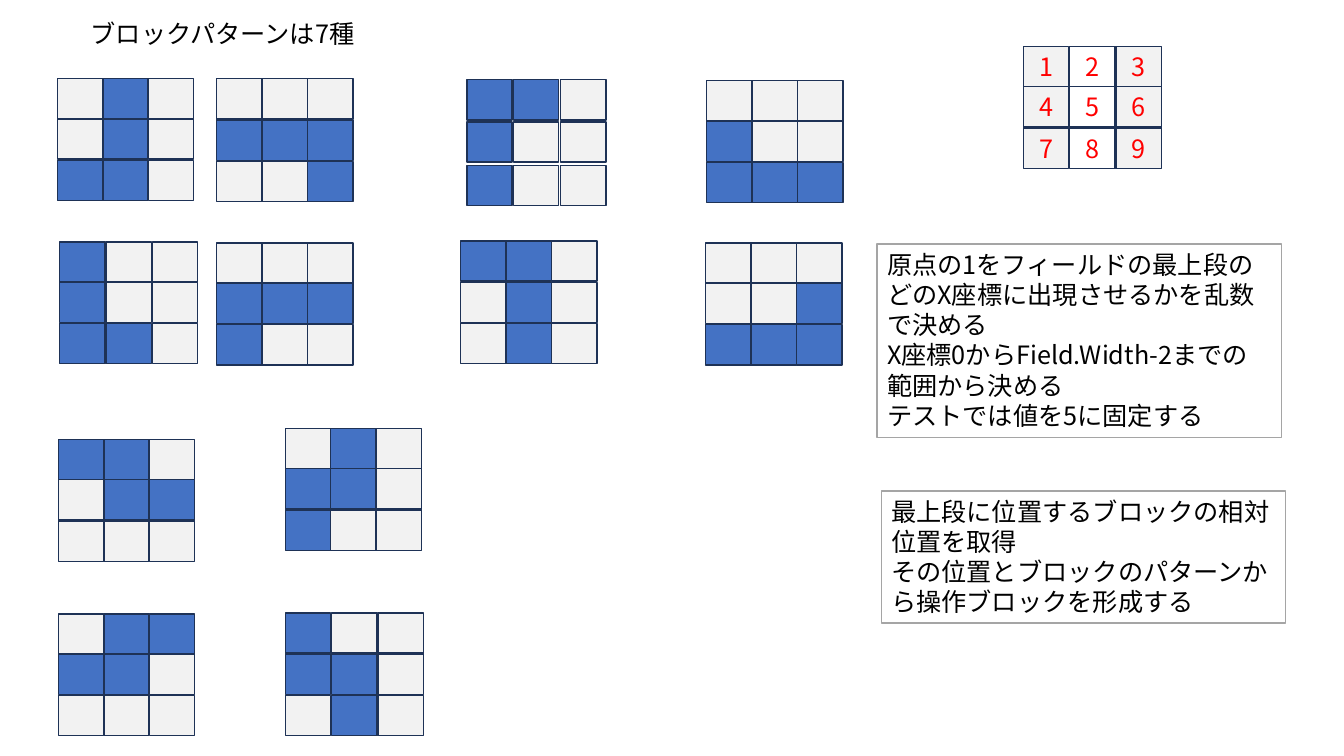
import lxml.etree
import pptx
import pptx.dml.color
import pptx.enum.shapes
import pptx.enum.text
import pptx.oxml.ns
import pptx.util

PX = 9144
CELL_WIDTH, CELL_HEIGHT = 45, 40
FONT = "Noto Sans CJK JP"
COLORS = {
    "block": "4472C4", "empty": "F2F2F2", "outline": "1E3256", "white": "FFFFFF",
    "border": "A5A5A5", "text": "000000", "number": "FF0000",
}
TITLE = "ブロックパターンは7種"
PATTERNS = [
    ((57, 78, 135, 121), (".#.", ".#.", "##.")),
    ((215, 78, 135, 122), ("...", "###", "..#")),
    ((463, 79, 138, 125), ("##.", "#..", "#..")),
    ((701, 80, 135, 121), ("...", "#..", "###")),
    ((59, 240, 137, 121), ("#..", "#..", "##.")),
    ((215, 241, 135, 121), ("...", "###", "#..")),
    ((457, 239, 135, 122), ("##.", ".#.", ".#.")),
    ((700, 241, 135, 121), ("...", "..#", "###")),
    ((58, 436, 135, 121), ("##.", ".##", "...")),
    ((283, 425, 135, 121), (".#.", "##.", "#..")),
    ((58, 609, 135, 121), (".##", "##.", "...")),
    ((283, 608, 137, 122), ("#..", "##.", ".#.")),
]
NUMBER_BOX = (1015, 46, 137, 121)
NOTES = [
    ((870, 242, 401, 192), (
        "原点の1をフィールドの最上段のどのX座標に出現させるかを乱数で決める",
        "X座標0からField.Width-2までの範囲から決める",
        "テストでは値を5に固定する",
    )),
    ((874, 487, 401, 131), (
        "最上段に位置するブロックの相対位置を取得",
        "その位置とブロックのパターンから操作ブロックを形成する",
    )),
]


def rgb(name):
    """Return the named colour."""
    return pptx.dml.color.RGBColor.from_string(COLORS[name])


def scaled(box):
    """Turn a box in px into EMU lengths."""
    return [pptx.util.Emu(length * PX) for length in box]


def apply_format(target, values):
    """Set each attribute in a dict of format values."""
    for name, value in values.items():
        setattr(target, name, value)


def write_text(shape, lines, color, align, anchor):
    """Write one formatted paragraph for each line."""
    frame = shape.text_frame
    frame.text = "\n".join(lines)
    apply_format(frame, {
        "word_wrap": True,
        "auto_size": pptx.enum.text.MSO_AUTO_SIZE.NONE,
        "vertical_anchor": anchor,
    })
    for paragraph in frame.paragraphs:
        paragraph.alignment = align
        for run in paragraph.runs:
            apply_format(run.font, {"name": FONT, "size": pptx.util.Pt(18)})
            run.font.color.rgb = rgb(color)
            lxml.etree.SubElement(
                run.font._element, pptx.oxml.ns.qn("a:ea"), typeface=FONT)


def add_rectangle(slide, box, fill, line):
    """Add a flat outlined rectangle."""
    shape = slide.shapes.add_shape(
        pptx.enum.shapes.MSO_SHAPE.RECTANGLE, *scaled(box))
    shape.shadow.inherit = False
    shape.fill.solid()
    shape.fill.fore_color.rgb = rgb(fill)
    shape.line.color.rgb = rgb(line)
    shape.line.width = pptx.util.Pt(1)
    return shape


def cell_box(box, row, column):
    """Return the box of one cell in a three by three grid."""
    left, top, width, height = box
    return (left + column * (width - CELL_WIDTH) // 2,
            top + row * (height - CELL_HEIGHT) // 2, CELL_WIDTH, CELL_HEIGHT)


def add_title(slide, box):
    """Place the title placeholder."""
    title = slide.shapes.title
    apply_format(title, dict(zip(("left", "top", "width", "height"), scaled(box))))
    write_text(title, [TITLE], "text", pptx.enum.text.PP_ALIGN.LEFT,
               pptx.enum.text.MSO_ANCHOR.TOP)


def add_pattern(slide, box, rows):
    """Draw one block pattern."""
    for row, marks in enumerate(rows):
        for column, mark in enumerate(marks):
            fill = "block" if mark == "#" else "empty"
            add_rectangle(slide, cell_box(box, row, column), fill, "outline")


def add_number_grid(slide, box):
    """Draw the grid of numbered positions."""
    for index in range(9):
        row, column = divmod(index, 3)
        fill = "white" if column == 1 else "empty"
        shape = add_rectangle(slide, cell_box(box, row, column), fill, "outline")
        write_text(shape, [str(index + 1)], "number",
                   pptx.enum.text.PP_ALIGN.CENTER,
                   pptx.enum.text.MSO_ANCHOR.MIDDLE)


def add_note(slide, box, lines):
    """Draw one bordered note."""
    shape = add_rectangle(slide, box, "white", "border")
    write_text(shape, lines, "text", pptx.enum.text.PP_ALIGN.LEFT,
               pptx.enum.text.MSO_ANCHOR.TOP)


def main():
    """Build and save the slide."""
    presentation = pptx.Presentation()
    apply_format(presentation, {
        "slide_width": pptx.util.Inches(13.33),
        "slide_height": pptx.util.Inches(7.5),
    })
    slide = presentation.slides.add_slide(presentation.slide_layouts[5])
    add_title(slide, (80, 13, 451, 40))
    for box, rows in PATTERNS:
        add_pattern(slide, box, rows)
    add_number_grid(slide, NUMBER_BOX)
    for box, lines in NOTES:
        add_note(slide, box, lines)
    presentation.save("out.pptx")


if __name__ == "__main__":
    main()
